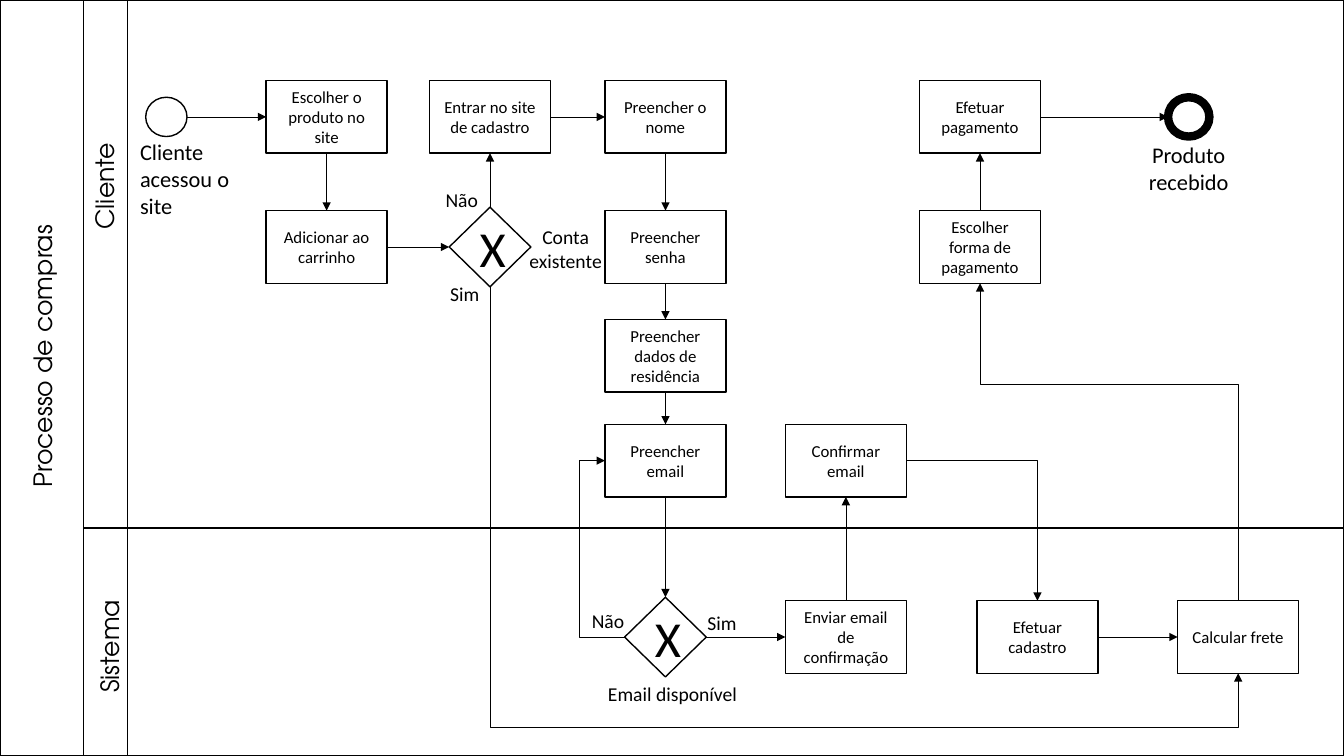
from lxml import etree
from pptx import Presentation
from pptx import util as u
from pptx.dml.color import RGBColor
from pptx.enum import shapes as kinds, text as styles
from pptx.oxml import ns

COLORS = {"ink": "000000", "paper": "FFFFFF"}
BODY, TITLE = "Calibri", "TeX Gyre Adventor"
TASK_SIZE, GATEWAY_SIZE, EVENT_SIZE = (1.2, 0.72), (0.81, 0.79), (0.41, 0.39)
TOP, LEFT, BOTTOM, RIGHT = range(4)
POOL = (0, 0, 13.33, 7.5)
CUSTOMER = (0.83, 0, 12.5, 5.24)
SYSTEM = (0.83, 5.24, 12.5, 2.26)

prs = Presentation()
prs.slide_width, prs.slide_height = u.Inches(13.33), u.Inches(7.5)
slide = prs.slides.add_slide(prs.slide_layouts[6])
slide.background.fill.solid()
slide.background.fill.fore_color.rgb = RGBColor.from_string(COLORS["paper"])


def write(shape, words, size=12, font=BODY, align=styles.PP_ALIGN.CENTER,
          anchor=styles.MSO_ANCHOR.MIDDLE):
    frame = shape.text_frame
    frame.word_wrap = True
    frame.vertical_anchor = anchor
    for index, line in enumerate(words.split("\n")):
        paragraph = frame.add_paragraph() if index else frame.paragraphs[0]
        paragraph.alignment = align
        run = paragraph.add_run()
        run.text = line
        run.font.size, run.font.name = u.Pt(size), font
        run.font.color.rgb = RGBColor.from_string(COLORS["ink"])


def around(box, center, size):
    return [u.Inches(box[i] + center[i] - size[i] / 2) for i in (0, 1)] + [
        u.Inches(side) for side in size]


def outline(kind, frame, weight=1):
    shape = slide.shapes.add_shape(kind, *frame)
    shape.shadow.inherit = False
    shape.fill.background()
    shape.line.color.rgb = RGBColor.from_string(COLORS["ink"])
    shape.line.width = u.Pt(weight)
    return shape


def label(box, center, size, words, points=14, turn=0, **style):
    note = slide.shapes.add_textbox(*around(box, center, size))
    note.rotation = turn
    write(note, words, points, anchor=styles.MSO_ANCHOR.TOP, **style)


def heading(box, center, width, words):
    label(box, center, (width, 0.4), words, 18, turn=270, font=TITLE,
          align=styles.PP_ALIGN.LEFT)


def task(box, center, words):
    shape = outline(kinds.MSO_SHAPE.RECTANGLE, around(box, center, TASK_SIZE))
    write(shape, words)
    return shape


def gateway(box, center):
    shape = outline(kinds.MSO_SHAPE.DIAMOND, around(box, center, GATEWAY_SIZE))
    write(shape, "X", 36)
    return shape


def event(box, center, weight):
    return outline(kinds.MSO_SHAPE.OVAL, around(box, center, EVENT_SIZE), weight)


def stroke(kind, start, end, weight=0.5, arrow=False):
    line = slide.shapes.add_connector(kind, *start, *end)
    line.line.color.rgb = RGBColor.from_string(COLORS["ink"])
    line.line.width = u.Pt(weight)
    if arrow:
        etree.SubElement(line.line._get_or_add_ln(), ns.qn("a:tailEnd"), type="triangle")
    etree.SubElement(line._element.spPr, ns.qn("a:effectLst"))
    return line


def port(shape, site):
    across, down = {TOP: (1, 0), LEFT: (0, 1), BOTTOM: (1, 2), RIGHT: (2, 1)}[site]
    return (shape.left + shape.width * across // 2, shape.top + shape.height * down // 2)


def flow(source, source_site, target, target_site):
    line = stroke(kinds.MSO_CONNECTOR.STRAIGHT, port(source, source_site),
                  port(target, target_site), arrow=True)
    for shape, site, glue in ((source, source_site, line.begin_connect),
                              (target, target_site, line.end_connect)):
        if shape.auto_shape_type != kinds.MSO_SHAPE.OVAL:
            glue(shape, site)


def elbow(source, source_site, target, target_site, bend=None):
    start, end = port(source, source_site), port(target, target_site)
    line = stroke(kinds.MSO_CONNECTOR.ELBOW, start, end, arrow=True)
    geometry = line._element.spPr.find(ns.qn("a:prstGeom"))
    if bend is None:
        geometry.set("prst", "bentConnector2")
        return
    axis = 1 if source_site in (TOP, BOTTOM) else 0
    ratio = (u.Inches(bend) - start[axis]) / (end[axis] - start[axis])
    guides = geometry.find(ns.qn("a:avLst"))
    if guides is None:
        guides = etree.SubElement(geometry, ns.qn("a:avLst"))
    etree.SubElement(guides, ns.qn("a:gd"), name="adj1", fmla=f"val {round(ratio * 100000)}")
    if axis:
        dx, dy = end[0] - start[0], end[1] - start[1]
        line.width, line.height = abs(dy), abs(dx)
        line.left = (start[0] + end[0] - abs(dy)) // 2
        line.top = (start[1] + end[1] - abs(dx)) // 2
        frame = line._element.spPr.find(ns.qn("a:xfrm"))
        frame.set("rot", "16200000")
        frame.set("flipH", str(int(dy > 0)))
        frame.set("flipV", str(int(dx < 0)))


def draw_pool(box):
    left, top, width, height = (u.Inches(value) for value in box)
    lane_left, lane_top = u.Inches(CUSTOMER[0]), u.Inches(SYSTEM[1])
    title_edge = left + u.Inches(1.26)
    outline(kinds.MSO_SHAPE.RECTANGLE, (left, top, lane_left, height))
    outline(kinds.MSO_SHAPE.RECTANGLE, (lane_left, top, width - lane_left, height))
    straight = kinds.MSO_CONNECTOR.STRAIGHT
    stroke(straight, (lane_left, lane_top), (left + width, lane_top), 1.5)
    stroke(straight, (title_edge, top), (title_edge, top + height))
    heading(box, (0.42, 3.51), 2.85, "Processo de compras")


def draw_customer(box):
    first, second, third, fourth = 1.16, 2.45, 3.53, 4.57
    cart, account, form, payment = 2.41, 4.03, 5.77, 8.89
    heading(box, (0.21, 1.82), 1.11, "Cliente")
    label(box, (1.07, 1.78), (1.22, 0.91), "Cliente acessou o site", 16,
          align=styles.PP_ALIGN.LEFT)
    label(box, (10.96, 1.67), (1.06, 0.64), "Produto\nrecebido", 16)
    label(box, (4.78, 2.47), (1.22, 0.57), "Conta existente")
    label(box, (3.75, 1.99), (0.61, 0.34), "Não")
    label(box, (3.78, 2.92), (0.61, 0.34), "Sim")
    steps = {
        "choose": (cart, first, "Escolher o produto no site"),
        "add": (cart, second, "Adicionar ao carrinho"),
        "register": (account, first, "Entrar no site de cadastro"),
        "name": (form, first, "Preencher o nome"),
        "password": (form, second, "Preencher senha"),
        "address": (form, third, "Preencher dados de residência"),
        "email": (form, fourth, "Preencher email"),
        "confirm": (7.56, fourth, "Confirmar email"),
        "method": (payment, second, "Escolher forma de pagamento"),
        "pay": (payment, first, "Efetuar pagamento"),
    }
    nodes = {key: task(box, (x, y), words) for key, (x, y, words) in steps.items()}
    nodes["start"] = event(box, (0.82, first), 1)
    nodes["received"] = event(box, (10.96, first), 6)
    nodes["has_account"] = gateway(box, (account, second))
    return nodes


def draw_system(box):
    row = 1.08
    heading(box, (0.26, 1.11), 1.24, "Sistema")
    label(box, (5.2, 0.92), (0.61, 0.34), "Não")
    label(box, (6.33, 0.94), (0.61, 0.34), "Sim")
    label(box, (5.84, 1.65), (1.59, 0.34), "Email disponível")
    steps = {
        "send": (7.56, "Enviar email de confirmação"),
        "save": (9.46, "Efetuar cadastro"),
        "freight": (11.45, "Calcular frete"),
    }
    nodes = {key: task(box, (x, row), words) for key, (x, words) in steps.items()}
    nodes["available"] = gateway(box, (5.77, row))
    return nodes


def draw_flows(nodes):
    right, down, up = (RIGHT, LEFT), (BOTTOM, TOP), (TOP, BOTTOM)
    routes = {
        right: ("start choose", "add has_account", "register name", "pay received",
                "available send", "save freight"),
        down: ("choose add", "name password", "password address", "address email",
               "email available"),
        up: ("has_account register", "method pay", "send confirm"),
    }
    for (leave, enter), pairs in routes.items():
        for pair in pairs:
            source, target = pair.split()
            flow(nodes[source], leave, nodes[target], enter)
    elbow(nodes["available"], LEFT, nodes["email"], LEFT, 5.75)
    elbow(nodes["has_account"], BOTTOM, nodes["freight"], BOTTOM, 7.22)
    elbow(nodes["confirm"], RIGHT, nodes["save"], TOP)
    elbow(nodes["freight"], TOP, nodes["method"], BOTTOM, 3.81)


draw_pool(POOL)
draw_flows({**draw_customer(CUSTOMER), **draw_system(SYSTEM)})
prs.save("out.pptx")
